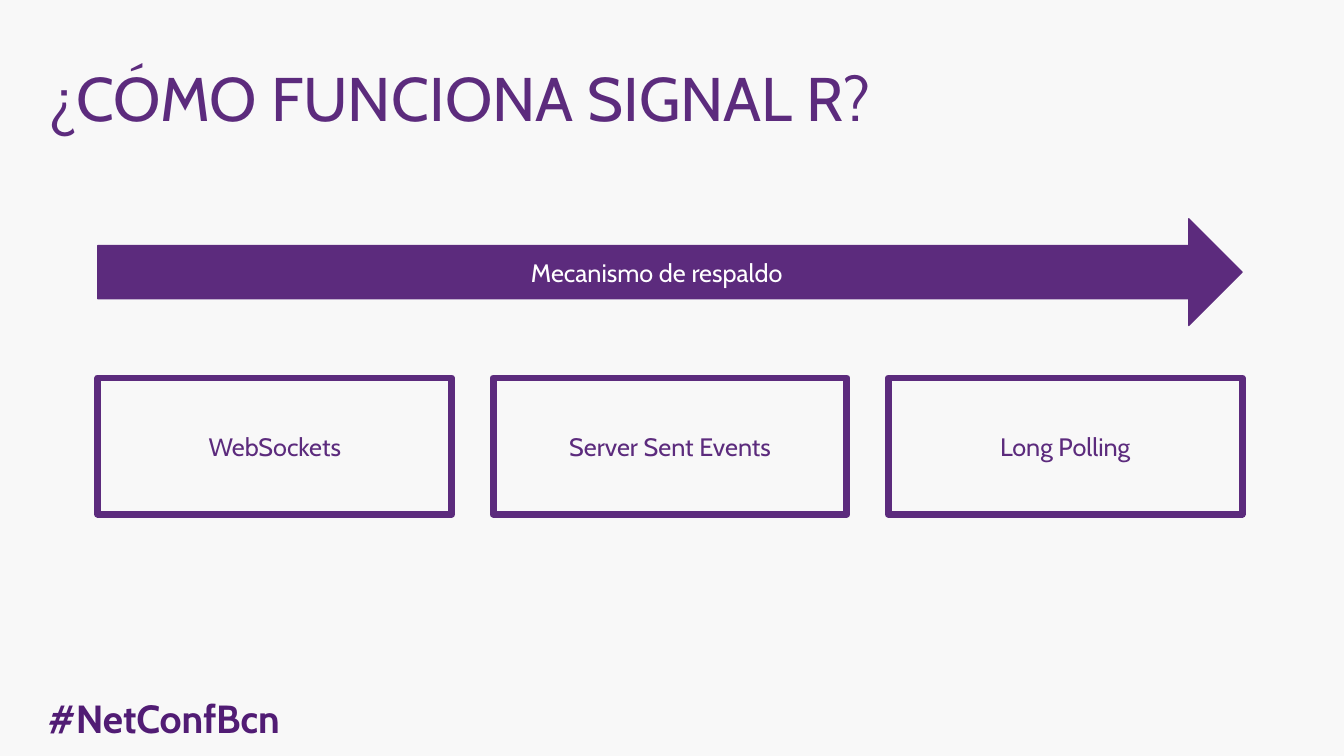
from pptx import Presentation
from pptx.dml.color import RGBColor
from pptx.enum.shapes import MSO_SHAPE as Shape
from pptx.enum.text import MSO_ANCHOR as Anchor, MSO_AUTO_SIZE as AutoSize, PP_ALIGN as Align
from pptx.util import Inches, Pt

PURPLE = RGBColor(0x5C, 0x2B, 0x7D)
DARK_PURPLE = RGBColor(0x51, 0x1C, 0x74)
WHITE = RGBColor(0xFF, 0xFF, 0xFF)
PALE_GRAY = RGBColor(0xF8, 0xF8, 0xF8)


def write(box, text, size, color, align=Align.CENTER, anchor=Anchor.MIDDLE, bold=False):
    frame = box.text_frame
    frame.auto_size = AutoSize.NONE
    frame.word_wrap = True
    frame.vertical_anchor = anchor
    para = frame.paragraphs[0]
    para.alignment = align
    span = para.add_run()
    span.text = text
    font_values = {"name": "Cabin", "size": Pt(size), "bold": bold}
    for name, value in font_values.items():
        setattr(span.font, name, value)
    span.font.color.rgb = color
    return para


def add_outlined(page, kind, left, top, width, height, line_width):
    shape = page.shapes.add_shape(kind, Inches(left), Inches(top), Inches(width), Inches(height))
    shape.shadow.inherit = False
    shape.line.color.rgb = PURPLE
    shape.line.width = Pt(line_width)
    return shape


deck = Presentation()
deck.slide_width, deck.slide_height = Inches(13.33), Inches(7.5)
page = deck.slides.add_slide(deck.slide_layouts[5])
page.background.fill.solid()
page.background.fill.fore_color.rgb = PALE_GRAY

# Title
title = page.shapes.title
title_place = {"left": 0.38, "top": 0.61, "width": 9.45, "height": 0.8}
for side, length in title_place.items():
    setattr(title, side, Inches(length))
heading = write(title, "¿CÓMO FUNCIONA SIGNAL R?", 44, PURPLE, align=Align.LEFT)
heading.line_spacing = 0.9

# Conference hashtag
hashtag = page.shapes.add_textbox(Inches(0.29), Inches(6.89), Inches(2.67), Inches(0.53))
tag_line = write(hashtag, "#NetConfBcn", 28, DARK_PURPLE, anchor=Anchor.TOP, bold=True)
tag_line.line_spacing = 0.9

# Transports, evenly spaced
LEFT, STEP = 0.97, 3.92
for index, transport in enumerate(["WebSockets", "Server Sent Events", "Long Polling"]):
    box = add_outlined(page, Shape.RECTANGLE, LEFT + index * STEP, 3.75, 3.51, 1.35, 5)
    box.fill.background()
    write(box, transport, 18, PURPLE)

# Fallback arrow across all transports
arrow = add_outlined(page, Shape.RIGHT_ARROW, LEFT, 2.17, 11.35, 1.06, 0.85)
arrow.fill.solid()
arrow.fill.fore_color.rgb = PURPLE
write(arrow, "Mecanismo de respaldo", 18, WHITE)

deck.save("out.pptx")
